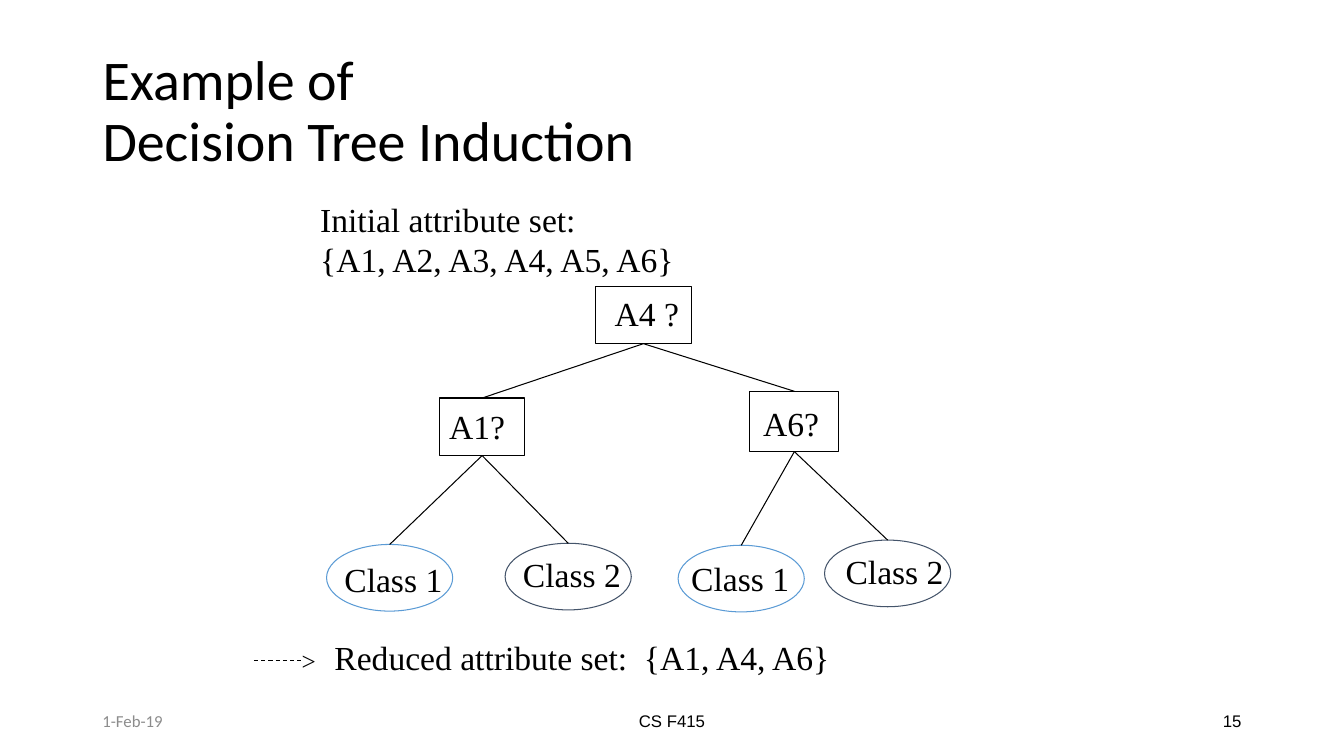
from pptx import Presentation
from pptx.dml.color import RGBColor
from pptx.enum.dml import MSO_LINE
from pptx.enum.shapes import MSO_CONNECTOR, MSO_SHAPE
from pptx.enum.text import MSO_ANCHOR as ANCHOR, PP_ALIGN as ALIGN
from pptx.oxml.ns import qn
from pptx.util import Cm, Pt
from lxml import etree

BLACK = RGBColor(0x00, 0x00, 0x00)
GREY = RGBColor(0x8C, 0x8C, 0x8C)
BLUE = RGBColor(0x5B, 0x9B, 0xD5)
SLATE = RGBColor(0x44, 0x54, 0x6A)
SERIF, SANS, BODY = "Times New Roman", "Arial", "Calibri"
BOTTOM, TOP = 2, 0  # connection sites

# Tree nodes, in cm from the tree's corner:
# name: (kind, left, top, width, height, line, text, text dx, text dy, text width)
RECT, OVAL = MSO_SHAPE.RECTANGLE, MSO_SHAPE.OVAL
NODES = {
    "A4": (RECT, 6.78, 0, 2.41, 1.45, BLACK, "A4 ?", 0.23, 0.05, 2.13),
    "A1": (RECT, 2.84, 2.82, 2.16, 1.45, BLACK, "A1?", 0, 0.08, 1.93),
    "A6": (RECT, 10.67, 2.65, 2.24, 1.52, BLACK, "A6?", 0.08, 0.18, 1.93),
    "A1 yes": (OVAL, 0, 6.51, 3.18, 1.68, BLUE, "Class 1", 0.2, 0.25, 2.97),
    "A1 no": (OVAL, 4.5, 6.48, 3.18, 1.68, SLATE, "Class 2", 0.2, 0.15, 2.97),
    "A6 yes": (OVAL, 8.86, 6.53, 3.18, 1.68, BLUE, "Class 1", 0.08, 0.2, 2.97),
    "A6 no": (OVAL, 12.55, 6.4, 3.18, 1.68, SLATE, "Class 2", 0.28, 0.15, 2.97),
}
EDGES = [("A4", "A1"), ("A4", "A6"), ("A1", "A1 yes"), ("A1", "A1 no"),
         ("A6", "A6 yes"), ("A6", "A6 no")]


def write(tf, text, size=24, font=SERIF, color=BLACK, align=ALIGN.LEFT,
          anchor=ANCHOR.TOP, wrap=False, spacing=None):
    tf.word_wrap = wrap
    tf.vertical_anchor = anchor
    tf.text = text
    for p in tf.paragraphs:
        p.alignment = align
        if spacing:
            p.line_spacing = spacing
        for r in p.runs:
            r.font.size, r.font.name = Pt(size), font
            r.font.color.rgb = color


def add_text(slide, left, top, width, height, text, **fmt):
    sp = slide.shapes.add_textbox(Cm(left), Cm(top), Cm(width), Cm(height))
    write(sp.text_frame, text, **fmt)


def add_line(slide, x1=0, y1=0, x2=0, y2=0):
    line = slide.shapes.add_connector(MSO_CONNECTOR.STRAIGHT,
                                      Cm(x1), Cm(y1), Cm(x2), Cm(y2))
    line.line.color.rgb = BLACK
    line.line.width = Pt(0.75)
    etree.SubElement(line._element.spPr, qn("a:effectLst"))
    return line


def add_title(slide, left, top, width, height):
    title = slide.shapes.title
    title.left, title.top = Cm(left), Cm(top)
    title.width, title.height = Cm(width), Cm(height)
    write(title.text_frame, "Example of\vDecision Tree Induction", size=40,
          font=BODY, anchor=ANCHOR.MIDDLE, wrap=True, spacing=0.9)


def add_tree(slide, left, top):
    shapes = {}
    for name, (kind, x, y, w, h, color, text, dx, dy, tw) in NODES.items():
        sp = slide.shapes.add_shape(kind, Cm(left + x), Cm(top + y), Cm(w), Cm(h))
        sp.shadow.inherit = False
        sp.fill.background()
        sp.line.color.rgb = color
        sp.line.width = Pt(0.75)
        shapes[name] = sp
        add_text(slide, left + x + dx, top + y + dy, tw, 1.28, text)
    for parent, child in EDGES:
        line = add_line(slide)
        line.begin_connect(shapes[parent], BOTTOM)
        line.end_connect(shapes[child], TOP)


def add_result(slide, left, top):
    # Dashed arrow
    arrow = add_line(slide, left, top + 0.72, left + 1.2, top + 0.72)
    arrow.line.dash_style = MSO_LINE.DASH
    add_text(slide, left + 0.95, top + 0.2, 0.86, 1.02, ">", size=18)
    # Conclusion
    add_text(slide, left + 1.78, top, 13.08, 1.28,
             "Reduced attribute set:  {A1, A4, A6}")


def add_footer(slide, left, top, width, height):
    side, middle = 7.62, 11.43
    parts = [
        (left, side, "1-Feb-19", BODY, GREY, ALIGN.LEFT),
        (left + (width - middle) / 2, middle, "CS F415", SANS, BLACK, ALIGN.CENTER),
        (left + width - side, side, "15", SANS, BLACK, ALIGN.RIGHT),
    ]
    for x, w, text, font, color, align in parts:
        add_text(slide, x, top, w, height, text, size=12, font=font, color=color,
                 align=align, anchor=ANCHOR.MIDDLE, wrap=True)


def main():
    prs = Presentation()
    prs.slide_width, prs.slide_height = Cm(33.87), Cm(19.05)
    slide = prs.slides.add_slide(prs.slide_layouts[5])
    add_title(slide, 2.33, 1.01, 29.21, 3.68)
    add_text(slide, 7.82, 4.88, 9.5, 2.31,
             "Initial attribute set:\n{A1, A2, A3, A4, A5, A6}")
    add_tree(slide, 8.23, 7.21)
    add_result(slide, 6.4, 15.93)
    add_footer(slide, 2.33, 17.66, 29.21, 1.01)
    prs.save("out.pptx")


if __name__ == "__main__":
    main()
